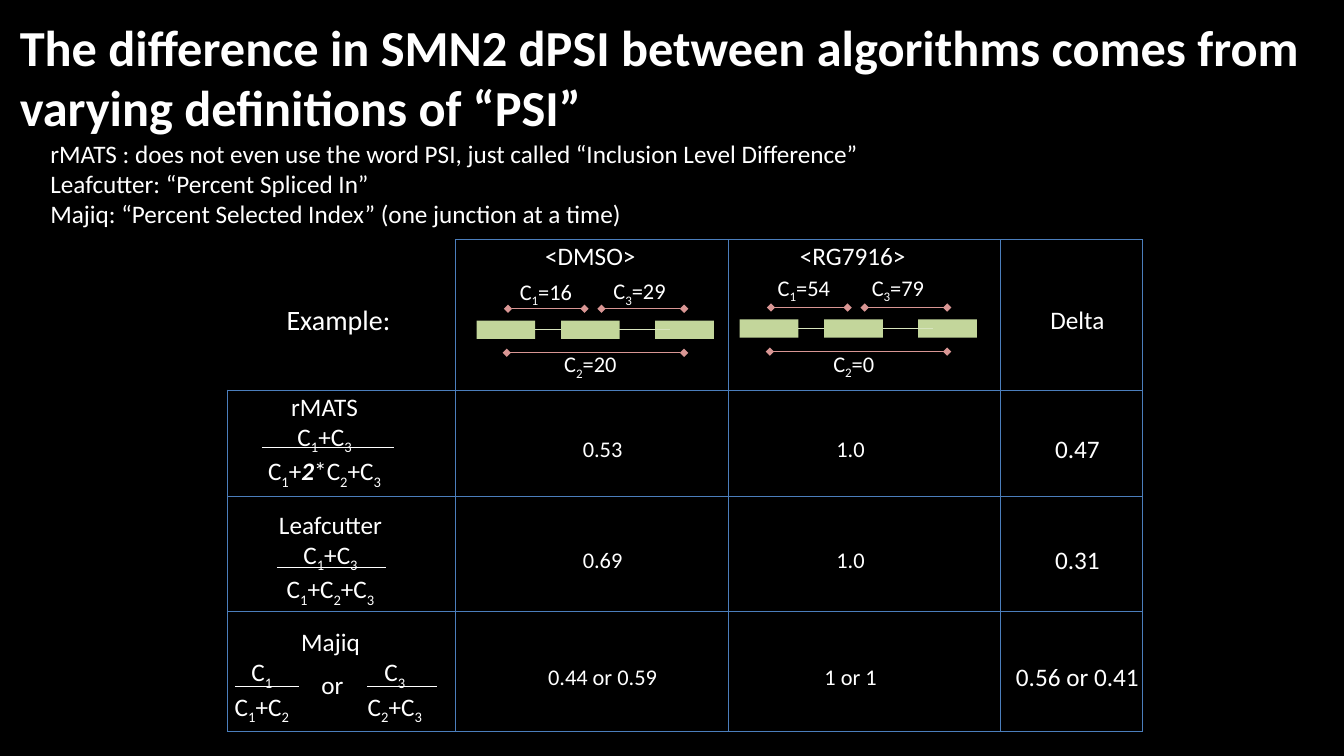
from lxml import etree
from pptx import Presentation
from pptx.dml.color import RGBColor
from pptx.enum.shapes import MSO_CONNECTOR, MSO_SHAPE
from pptx.enum.text import MSO_ANCHOR, PP_ALIGN
from pptx.oxml.ns import qn
from pptx.util import Cm, Pt

LEFT, CENTER = PP_ALIGN.LEFT, PP_ALIGN.CENTER
MIDDLE = MSO_ANCHOR.MIDDLE
STRAIGHT = MSO_CONNECTOR.STRAIGHT
RECTANGLE = MSO_SHAPE.RECTANGLE

WHITE, BLACK = "FFFFFF", "000000"
GREEN, PALE_GREEN = "C3D69B", "D7E4BD"
PINK, BLUE = "D99694", "4B7EBC"

COLUMN_WIDTHS = (5.75, 6.88, 6.84, 3.6)
ROW_HEIGHTS = (3.79, 2.69, 2.9, 3.0)
COLUMN_MARGINS = ((0, 0.15), (0.53, 0), (0, 0.69), (0.3, 0))
COLUMN_SIZES = (20, 16, 16, 18)
ROWS = (
    ("Example:", "", "", "Delta"),
    ("", "0.53", "1.0", "0.47"),
    ("", "0.69", "1.0", "0.31"),
    ("", "0.44 or 0.59", "1 or 1", "0.56 or 0.41"),
)

EXON_OFFSETS = (0, 4.5, 2.13)
JUNCTIONS = ((0.79, 2.72, -0.3), (3.15, 5.23, -0.3), (0.76, 5.23, 0.81))
SAMPLES = (
    (12.01, 8.08, ("<DMSO>", 13.49, 5.94),
     (("C|_1|=16", 12.85, 6.88), ("C|_3|=29", 15.21, 6.86), ("C|_2|=20", 13.97, 8.71))),
    (18.64, 8.05, ("<RG7916>", 19.91, 5.92),
     (("C|_1|=54", 19.35, 6.78), ("C|_3|=79", 21.72, 6.78), ("C|_2|=0", 20.75, 8.69))),
)

FORMULAS = (
    (8.18, 9.73, ("rMATS", "C|_1|+C|_3", "C|_1|+|^2|*C|_2|+C|_3")),
    (8.33, 12.7, ("Leafcutter", "C|_1|+C|_3", "C|_1|+C|_2|+C|_3")),
    (8.33, 15.65, ("Majiq",)),
    (6.6, 16.42, ("C|_1", "C|_1|+C|_2")),
    (9.95, 16.42, ("C|_3", "C|_2|+C|_3")),
    (8.38, 16.74, ("or",)),
)
FRACTION_BARS = ((6.6, 9.93, 11.28), (6.98, 9.73, 14.3), (5.92, 7.54, 17.3), (9.25, 11.02, 17.3))


def color(hex_string):
    """Turn a hex string into a colour."""
    return RGBColor.from_string(hex_string)


def write_paragraph(para, text, size, align=LEFT, bold=False):
    """Write text whose |-parts may be subscript (_) or bold italic (^)."""
    para.alignment = align
    para.font.name = "Calibri"
    para.font.size = Pt(size)
    para.font.bold = bold
    para.font.color.rgb = color(WHITE)
    for part in text.split("|"):
        span = para.add_run()
        span.text = part.lstrip("_^")
        if part.startswith("_"):
            span.font._element.set("baseline", "-25000")
        elif part.startswith("^"):
            span.font.bold = span.font.italic = True


def add_text(page, left, top, width, height, lines, size, align=LEFT, bold=False):
    """Add a wrapping text box with one paragraph for each line."""
    box = page.shapes.add_textbox(Cm(left), Cm(top), Cm(width), Cm(height))
    frame = box.text_frame
    frame.word_wrap = True
    for index, line in enumerate(lines):
        para = frame.add_paragraph() if index else frame.paragraphs[0]
        write_paragraph(para, line, size, align, bold)


def add_line(page, start, end, top, hex_string, width=0.75, diamonds=False):
    """Add a horizontal line, with diamond ends if wanted."""
    line = page.shapes.add_connector(STRAIGHT, Cm(start), Cm(top), Cm(end), Cm(top))
    line.line.color.rgb = color(hex_string)
    line.line.width = Pt(width)
    if diamonds:
        outline = line.line._get_or_add_ln()
        for tag in ("a:headEnd", "a:tailEnd"):
            etree.SubElement(outline, qn(tag), type="diamond")
    etree.SubElement(line._element.spPr, qn("a:effectLst"))
    return line


def add_exon(page, left, top):
    """Add one exon block."""
    exon = page.shapes.add_shape(RECTANGLE, Cm(left), Cm(top), Cm(1.48), Cm(0.46))
    exon.shadow.inherit = False
    exon.fill.solid()
    exon.fill.fore_color.rgb = color(GREEN)
    exon.line.fill.background()
    return exon


def add_splicing(page, left, top, heading, counts):
    """Add the exons, junctions and counts of one sample."""
    first, last = [add_exon(page, left + offset, top) for offset in EXON_OFFSETS[:2]]
    intron = add_line(page, left + 1.48, left + 4.88, top + 0.23, PALE_GREEN)
    intron.begin_connect(first, 3)
    add_exon(page, left + EXON_OFFSETS[2], top)
    for start, end, offset in JUNCTIONS:
        add_line(page, left + start, left + end, top + offset, PINK, 1, True)
    text, text_left, text_top = heading
    add_text(page, text_left, text_top, 3.6, 1.02, [text], 18)
    for text, text_left, text_top in counts:
        add_text(page, text_left, text_top, 2.74, 0.94, [text], 16)


def set_borders(cell, hidden):
    """Draw the cell's borders except the hidden sides."""
    properties = cell._tc.get_or_add_tcPr()
    for side in "LRTB":
        border = etree.SubElement(properties, qn(f"a:ln{side}"), w=str(Pt(0.75)))
        if side in hidden:
            etree.SubElement(border, qn("a:noFill"))
        else:
            fill = etree.SubElement(border, qn("a:solidFill"))
            etree.SubElement(fill, qn("a:srgbClr"), val=BLUE)


def add_comparison_table(page):
    """Add the table of values for each algorithm."""
    table = page.shapes.add_table(
        len(ROWS), len(COLUMN_WIDTHS), Cm(5.73), Cm(6.04),
        Cm(sum(COLUMN_WIDTHS)), Cm(sum(ROW_HEIGHTS))).table
    table.first_row = table.horz_banding = False
    for column, width in zip(table.columns, COLUMN_WIDTHS):
        column.width = Cm(width)
    for row_index, texts in enumerate(ROWS):
        table.rows[row_index].height = Cm(ROW_HEIGHTS[row_index])
        for column_index, text in enumerate(texts):
            cell = table.cell(row_index, column_index)
            set_borders(cell, "LT" if row_index == column_index == 0 else "")
            cell.fill.background()
            cell.vertical_anchor = MIDDLE
            left, right = COLUMN_MARGINS[column_index]
            cell.margin_left, cell.margin_right = Cm(left), Cm(right)
            cell.margin_top, cell.margin_bottom = Cm(0.3), Cm(0)
            if text:
                write_paragraph(cell.text_frame.paragraphs[0], text,
                                COLUMN_SIZES[column_index], CENTER)


def main():
    """Build the slide and save it."""
    deck = Presentation()
    deck.slide_width, deck.slide_height = Cm(33.87), Cm(19.05)
    page = deck.slides.add_slide(deck.slide_layouts[6])
    page.background.fill.solid()
    page.background.fill.fore_color.rgb = color(BLACK)

    add_text(page, 0.25, 0.28, 33.6, 3.33, [
        "The difference in SMN2 dPSI between algorithms comes from "
        "varying definitions of “PSI”"], 36, bold=True)
    add_text(page, 1.02, 3.35, 22.23, 2.57, [
        "rMATS : does not even use the word PSI, just called “Inclusion Level Difference”",
        "Leafcutter: “Percent Spliced In”",
        "Majiq: “Percent Selected Index” (one junction at a time)"], 18)
    add_comparison_table(page)
    for sample in SAMPLES:
        add_splicing(page, *sample)
    for center, top, lines in FORMULAS:
        add_text(page, center - 2, top, 4, 0.25 + 0.77 * len(lines), lines, 18, CENTER)
    for start, end, top in FRACTION_BARS:
        add_line(page, start, end, top, WHITE)
    deck.save("out.pptx")


if __name__ == "__main__":
    main()
